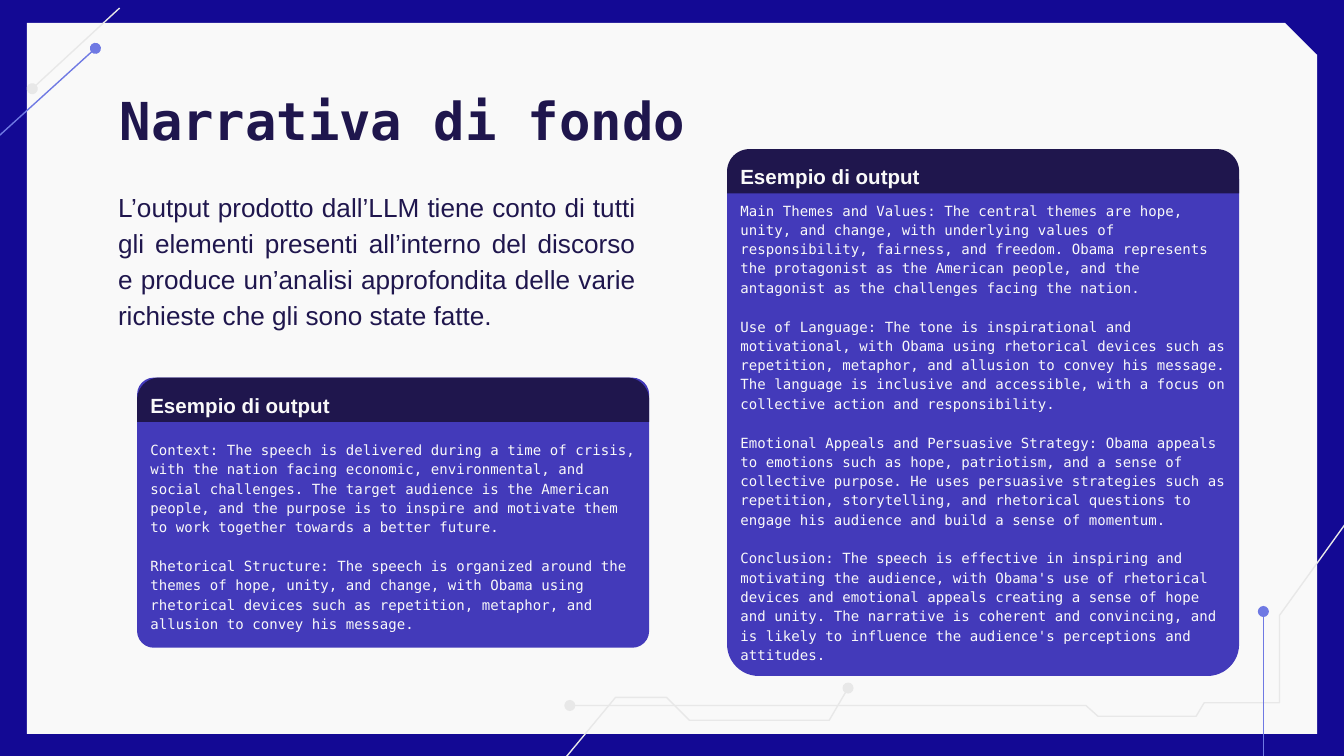
from typing import NamedTuple

import pptx
import pptx.dml.color
import pptx.enum.shapes
import pptx.enum.text
import pptx.oxml
import pptx.util
from pptx.util import Inches

SHAPE = pptx.enum.shapes.MSO_SHAPE
ANCHOR = pptx.enum.text.MSO_ANCHOR
ALIGN = pptx.enum.text.PP_ALIGN
MONO, SANS = "DejaVu Sans Mono", "Arial"
NAMESPACE = 'xmlns:a="http://schemas.openxmlformats.org/drawingml/2006/main"'

COLORS = {
    "frame": "130994",
    "paper": "F9F9F9",
    "ink": "1F164D",
    "card": "433ABA",
    "circuit": "E8E8E8",
    "accent": "6F79E3",
}


class Frame(NamedTuple):
    left: float
    top: float
    width: float
    height: float

    def lengths(self) -> list:
        return [Inches(value) for value in self]


class TextStyle(NamedTuple):
    size: float
    font: str
    color: str
    bold: bool = False
    align: ALIGN = ALIGN.LEFT
    anchor: ANCHOR = ANCHOR.TOP
    gap: float = 0


class Card(NamedTuple):
    frame: Frame
    text_height: float
    heading: str
    paragraphs: list


class Trace(NamedTuple):
    points: list
    color: str
    dot_at: str  # "headEnd" for the first point, "tailEnd" for the last


TITLE = TextStyle(28, MONO, "ink", bold=True)
BODY = TextStyle(14, SANS, "ink", align=ALIGN.JUSTIFY)
HEADING = TextStyle(11, SANS, "paper", bold=True, anchor=ANCHOR.MIDDLE)
OUTPUT = TextStyle(7.5, MONO, "paper", anchor=ANCHOR.MIDDLE, gap=10.4)

TRACES = [
    Trace([(0.89, 0.06), (0.24, 0.66)], "circuit", "tailEnd"),
    Trace([(0.71, 0.36), (-0.59, 1.54)], "accent", "headEnd"),
    Trace([(10.11, 3.76), (9.52, 4.58), (9.52, 5.23), (8.96, 5.23), (8.9, 5.33),
           (8.17, 5.33), (8.08, 5.25), (4.24, 5.25)], "circuit", "tailEnd"),
    Trace([(4.14, 5.72), (4.58, 5.19), (4.96, 5.19), (5.13, 5.36),
           (6.17, 5.36), (6.31, 5.12)], "circuit", "tailEnd"),
    Trace([(9.4, 4.55), (9.4, 5.71)], "accent", "headEnd"),
]

INTRO = (
    "L’output prodotto dall’LLM tiene conto di tutti gli elementi presenti "
    "all’interno del discorso e produce un’analisi approfondita delle varie "
    "richieste che gli sono state fatte."
)

CARDS = [
    Card(Frame(5.41, 1.11, 3.81, 3.92), 3.52, "Esempio di output", [
        "Main Themes and Values: The central themes are hope, unity, and change, "
        "with underlying values of responsibility, fairness, and freedom. Obama "
        "represents the protagonist as the American people, and the antagonist as "
        "the challenges facing the nation.",
        "Use of Language: The tone is inspirational and motivational, with Obama "
        "using rhetorical devices such as repetition, metaphor, and allusion to "
        "convey his message. The language is inclusive and accessible, with a "
        "focus on collective action and responsibility.",
        "Emotional Appeals and Persuasive Strategy: Obama appeals to emotions such "
        "as hope, patriotism, and a sense of collective purpose. He uses persuasive "
        "strategies such as repetition, storytelling, and rhetorical questions to "
        "engage his audience and build a sense of momentum.",
        "Conclusion: The speech is effective in inspiring and motivating the "
        "audience, with Obama's use of rhetorical devices and emotional appeals "
        "creating a sense of hope and unity. The narrative is coherent and "
        "convincing, and is likely to influence the audience's perceptions and "
        "attitudes.",
    ]),
    Card(Frame(1.02, 2.81, 3.81, 2.01), 1.67, "Esempio di output", [
        "Context: The speech is delivered during a time of crisis, with the nation "
        "facing economic, environmental, and social challenges. The target audience "
        "is the American people, and the purpose is to inspire and motivate them to "
        "work together towards a better future.",
        "Rhetorical Structure: The speech is organized around the themes of hope, "
        "unity, and change, with Obama using rhetorical devices such as repetition, "
        "metaphor, and allusion to convey his message.",
    ]),
]


def rgb(name: str) -> pptx.dml.color.RGBColor:
    return pptx.dml.color.RGBColor.from_string(COLORS[name])


def apply(target, values: dict) -> None:
    for name, value in values.items():
        setattr(target, name, value)


def write(box, paragraphs: list, style: TextStyle) -> None:
    frame = box.text_frame
    margins = ("margin_left", "margin_top", "margin_right", "margin_bottom")
    apply(frame, {
        "word_wrap": True,
        "auto_size": pptx.enum.text.MSO_AUTO_SIZE.NONE,
        "vertical_anchor": style.anchor,
        **dict.fromkeys(margins, Inches(0.1)),
    })
    for index, text in enumerate(paragraphs):
        para = frame.add_paragraph() if index else frame.paragraphs[0]
        apply(para, {
            "alignment": style.align,
            "line_spacing": 1.15,
            "space_before": pptx.util.Pt(style.gap if index else 0),
        })
        span = para.add_run()
        span.text = text
        apply(span.font, {"size": pptx.util.Pt(style.size), "name": style.font,
                          "bold": style.bold})
        span.font.color.rgb = rgb(style.color)


def add_text(page, frame: Frame, paragraphs: list, style: TextStyle) -> None:
    write(page.shapes.add_textbox(*frame.lengths()), paragraphs, style)


def add_block(page, kind: SHAPE, frame: Frame, color: str, adjustment: float) -> None:
    block = page.shapes.add_shape(kind, *frame.lengths())
    block.shadow.inherit = False
    block.adjustments[0] = adjustment
    block.fill.solid()
    block.fill.fore_color.rgb = rgb(color)
    block.line.fill.background()


def add_trace(page, trace: Trace) -> None:
    points = [(Inches(x), Inches(y)) for x, y in trace.points]
    if len(points) == 2:
        line = page.shapes.add_connector(
            pptx.enum.shapes.MSO_CONNECTOR.STRAIGHT, *points[0], *points[1])
    else:
        builder = page.shapes.build_freeform(*points[0])
        builder.add_line_segments(points[1:], close=False)
        line = builder.convert_to_shape()
        line.fill.background()
    line.line.color.rgb = rgb(trace.color)
    line.line.width = pptx.util.Pt(0.75)
    properties = line.element.spPr
    dot = pptx.oxml.parse_xml(f'<a:{trace.dot_at} {NAMESPACE} type="oval"/>')
    properties.get_or_add_ln().append(dot)
    properties.append(pptx.oxml.parse_xml(f"<a:effectLst {NAMESPACE}/>"))


def add_card(page, card: Card) -> None:
    left, top, width, _ = card.frame
    add_block(page, SHAPE.ROUNDED_RECTANGLE, card.frame, "card", 0.062)
    add_block(page, SHAPE.ROUND_2_SAME_RECTANGLE, Frame(left, top, width, 0.33), "ink", 0.5)
    add_text(page, Frame(left, top + 0.34, width, card.text_height), card.paragraphs, OUTPUT)
    add_text(page, Frame(left, top + 0.05, 3.58, 0.28), [card.heading], HEADING)


def main() -> None:
    # Widescreen page, 16:9
    deck = pptx.Presentation()
    apply(deck, {"slide_width": Inches(10), "slide_height": Inches(10 * 9 / 16)})
    page = deck.slides.add_slide(deck.slide_layouts[5])

    # Background, paper and circuit traces
    page.background.fill.solid()
    page.background.fill.fore_color.rgb = rgb("frame")
    add_block(page, SHAPE.SNIP_1_RECTANGLE, Frame(0.2, 0.17, 9.6, 5.29), "paper", 0.045)
    for trace in TRACES:
        add_trace(page, trace)

    # Title, raised above the paper
    title = page.shapes.title
    title.element.getparent().append(title.element)
    apply(title, dict(zip(("left", "top", "width", "height"),
                          Frame(0.79, 0.49, 8.43, 0.63).lengths())))
    write(title, ["Narrativa di fondo"], TITLE)

    # Introduction and output cards
    add_text(page, Frame(0.78, 1.29, 4.05, 1.48), [INTRO], BODY)
    for card in CARDS:
        add_card(page, card)

    deck.save("out.pptx")


if __name__ == "__main__":
    main()
